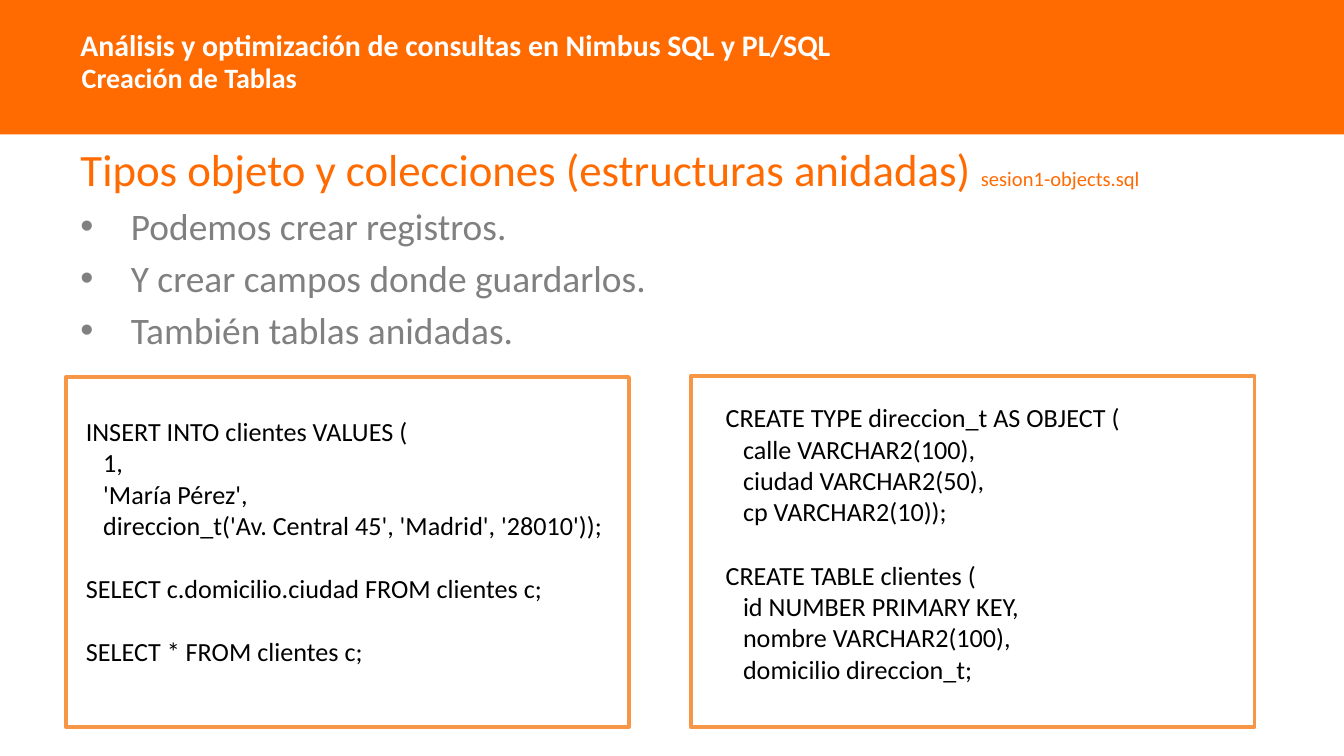
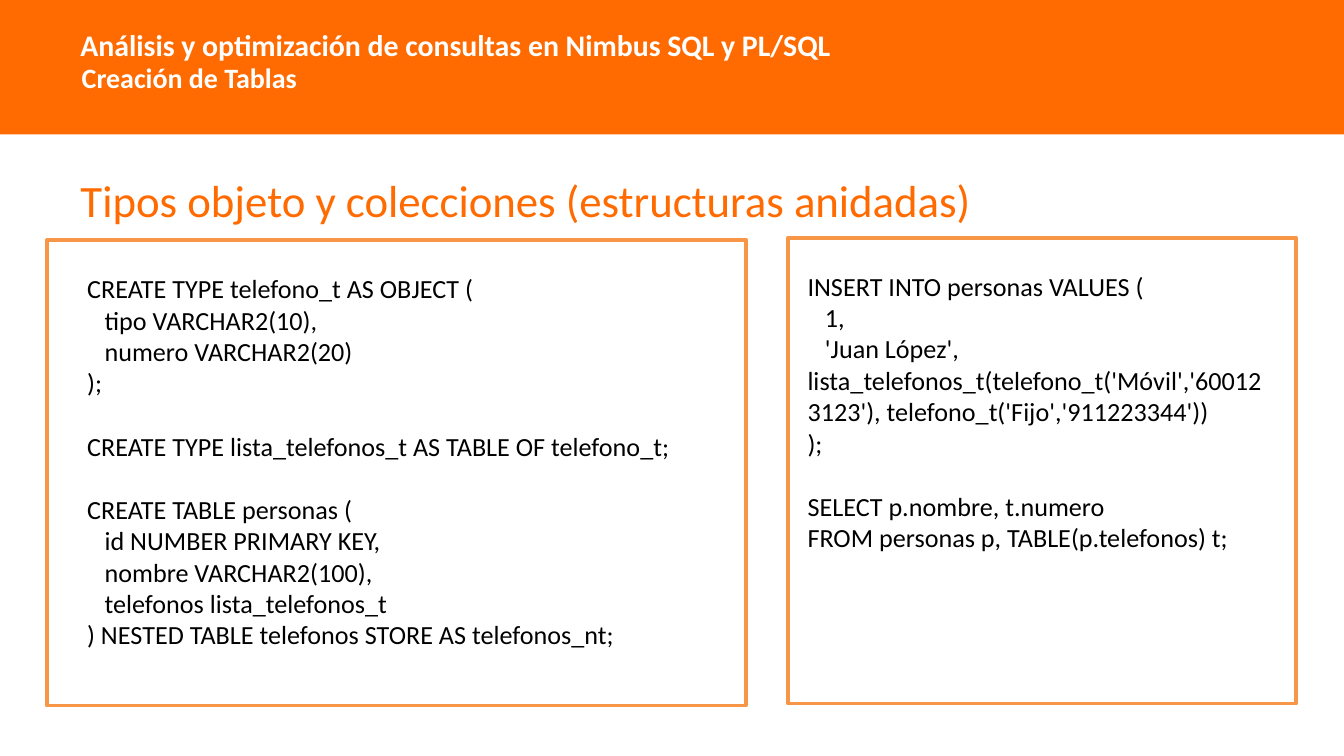
"""Build two course slides about nested SQL object types and collections."""
import dataclasses

import pptx
import pptx.dml.color
import pptx.enum.shapes
import pptx.enum.text
import pptx.oxml
import pptx.oxml.ns
import pptx.util

PX = 4572


@dataclasses.dataclass(frozen=True)
class Theme:
    font: str = "Calibri"
    bullet_font: str = "Arial"
    band: str = "FF6B00"
    outline: str = "F79646"
    white: str = "FFFFFF"
    gray: str = "808080"
    black: str = "000000"
    title_size: int = 16
    subtitle_size: int = 15
    heading_size: int = 24
    bullet_size: int = 20
    code_size: int = 14
    note_size: int = 11
    outline_width: int = 2
    spacing: float = 0.2
    line_height: float = 1.22
    hanging: int = 75
    code_indent: int = 26


COURSE = "Análisis y optimización de consultas en Nimbus SQL y PL/SQL"
TOPIC = "Creación de Tablas"
HEADING = "Tipos objeto y colecciones (estructuras anidadas)"

INSERT_CLIENTES = """INSERT INTO clientes VALUES (
   1,
   'María Pérez',
   direccion_t('Av. Central 45', 'Madrid', '28010'));

SELECT c.domicilio.ciudad FROM clientes c;

SELECT * FROM clientes c;"""

CREATE_CLIENTES = """CREATE TYPE direccion_t AS OBJECT (
   calle VARCHAR2(100),
   ciudad VARCHAR2(50),
   cp VARCHAR2(10));

CREATE TABLE clientes (
   id NUMBER PRIMARY KEY,
   nombre VARCHAR2(100),
   domicilio direccion_t;"""

CREATE_PERSONAS = """CREATE TYPE telefono_t AS OBJECT (
   tipo VARCHAR2(10),
   numero VARCHAR2(20)
);

CREATE TYPE lista_telefonos_t AS TABLE OF telefono_t;

CREATE TABLE personas (
   id NUMBER PRIMARY KEY,
   nombre VARCHAR2(100),
   telefonos lista_telefonos_t
) NESTED TABLE telefonos STORE AS telefonos_nt;"""

INSERT_PERSONAS = """INSERT INTO personas VALUES (
   1,
   'Juan López', lista_telefonos_t(telefono_t('Móvil','600123123'), telefono_t('Fijo','911223344'))
);

SELECT p.nombre, t.numero
FROM personas p, TABLE(p.telefonos) t;"""


def px(*lengths):
    return [pptx.util.Emu(n * PX) for n in lengths]


def rgb(color):
    return pptx.dml.color.RGBColor.from_string(color)


def write(tf, text, *, size, color, font=Theme.font, bold=False, before=0,
          leading=None, margin=0, indent=0, bullet=None, same_line=False):
    p = tf.paragraphs[-1]
    if p.runs and not same_line:
        p = tf.add_paragraph()
    if not same_line:
        p.space_before = pptx.util.Pt(before)
        p.line_spacing = leading
        pPr = p._p.get_or_add_pPr()
        pPr.set("marL", str(margin * PX))
        pPr.set("indent", str(indent * PX))
        if bullet:
            ns = pptx.oxml.ns.nsdecls("a")
            for tag in (f'buFont {ns} typeface="{Theme.bullet_font}"', f'buChar {ns} char="{bullet}"'):
                pPr.append(pptx.oxml.parse_xml(f"<a:{tag}/>"))
    r = p.add_run()
    r.text = text
    r.font.name = font
    r.font.size = pptx.util.Pt(size)
    r.font.bold = bold
    r.font.color.rgb = rgb(color)


class Deck:
    def __init__(self, theme):
        self.theme = theme
        self.prs = pptx.Presentation()
        self.prs.slide_width, self.prs.slide_height = px(2000, 1125)
        self.s = None

    def slide(self):
        t = self.theme
        self.s = self.prs.slides.add_slide(self.prs.slide_layouts[6])
        self.rect(0, 0, 2000, 200, fill=t.band)
        tf = self.frame(100, 42, 1514, 48)
        tf.vertical_anchor = pptx.enum.text.MSO_ANCHOR.MIDDLE
        write(tf, COURSE, size=t.title_size, color=t.white, bold=True)
        write(self.frame(102, 90, 1512, 62), TOPIC, size=t.subtitle_size, color=t.white,
              bold=True, before=t.subtitle_size * t.spacing, leading=0.8,
              margin=t.hanging, indent=-t.hanging)

    def rect(self, x, y, w, h, fill, line=None):
        sp = self.s.shapes.add_shape(pptx.enum.shapes.MSO_SHAPE.RECTANGLE, *px(x, y, w, h))
        sp.shadow.inherit = False
        sp.fill.solid()
        sp.fill.fore_color.rgb = rgb(fill)
        if line:
            sp.line.color.rgb = rgb(line)
            sp.line.width = pptx.util.Pt(self.theme.outline_width)
        else:
            sp.line.fill.background()

    def frame(self, x, y, w, h):
        tf = self.s.shapes.add_textbox(*px(x, y, w, h)).text_frame
        tf.word_wrap = True
        return tf

    def body(self, y, h, note=None, bullets=()):
        t = self.theme
        tf = self.frame(100, y, 1876, h)
        write(tf, HEADING + (" " if note else ""), size=t.heading_size, color=t.band,
              before=t.heading_size * t.spacing)
        if note:
            write(tf, note, size=t.note_size, color=t.band, same_line=True)
        for text in bullets:
            write(tf, text, size=t.bullet_size, color=t.gray, bullet="•",
                  before=t.bullet_size * t.spacing, margin=t.hanging, indent=-t.hanging)

    def code(self, box, area, source):
        t = self.theme
        self.rect(*box, fill=t.white, line=t.outline)
        tf = self.frame(*area)
        tf.auto_size = pptx.enum.text.MSO_AUTO_SIZE.SHAPE_TO_FIT_TEXT
        gap = 0
        for line in source.splitlines():
            if not line:
                gap = t.code_size * t.line_height
                continue
            write(tf, line.strip(), size=t.code_size, color=t.black, before=gap,
                  indent=t.code_indent if line.startswith(" ") else 0)
            gap = 0


def main():
    deck = Deck(Theme())

    deck.slide()
    deck.body(201, 586, note="sesion1-objects.sql", bullets=(
        "Podemos crear registros.",
        "Y crear campos donde guardarlos.",
        "También tablas anidadas.",
    ))
    deck.code((1028, 560, 839, 522), (1060, 588, 776, 492), CREATE_CLIENTES)
    deck.code((98, 561, 838, 521), (108, 608, 828, 444), INSERT_CLIENTES)

    deck.slide()
    deck.body(247, 174)
    deck.code((70, 357, 1040, 693), (110, 396, 930, 586), CREATE_PERSONAS)
    deck.code((1173, 354, 756, 693), (1182, 392, 718, 444), INSERT_PERSONAS)

    deck.prs.save("out.pptx")


if __name__ == "__main__":
    main()
